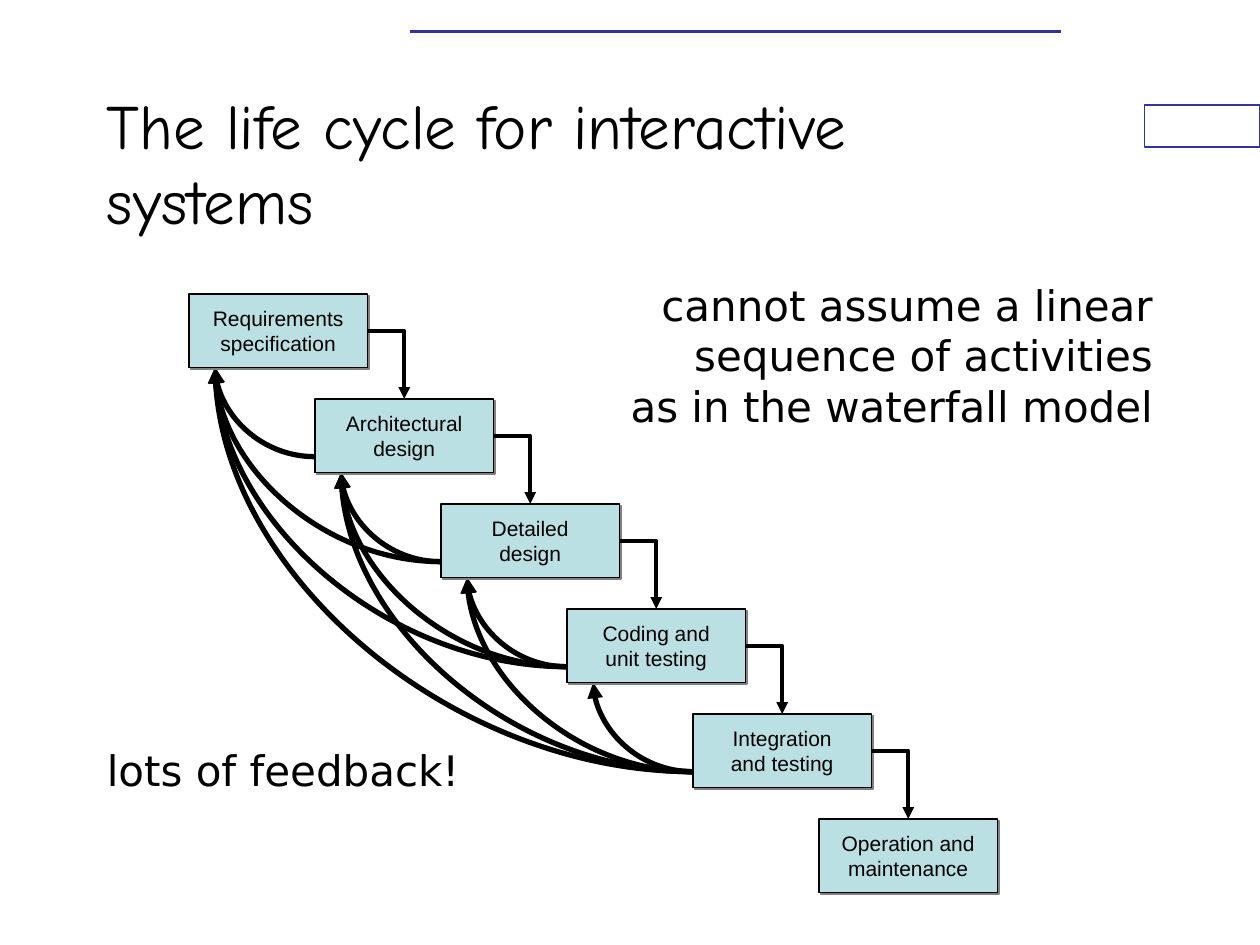
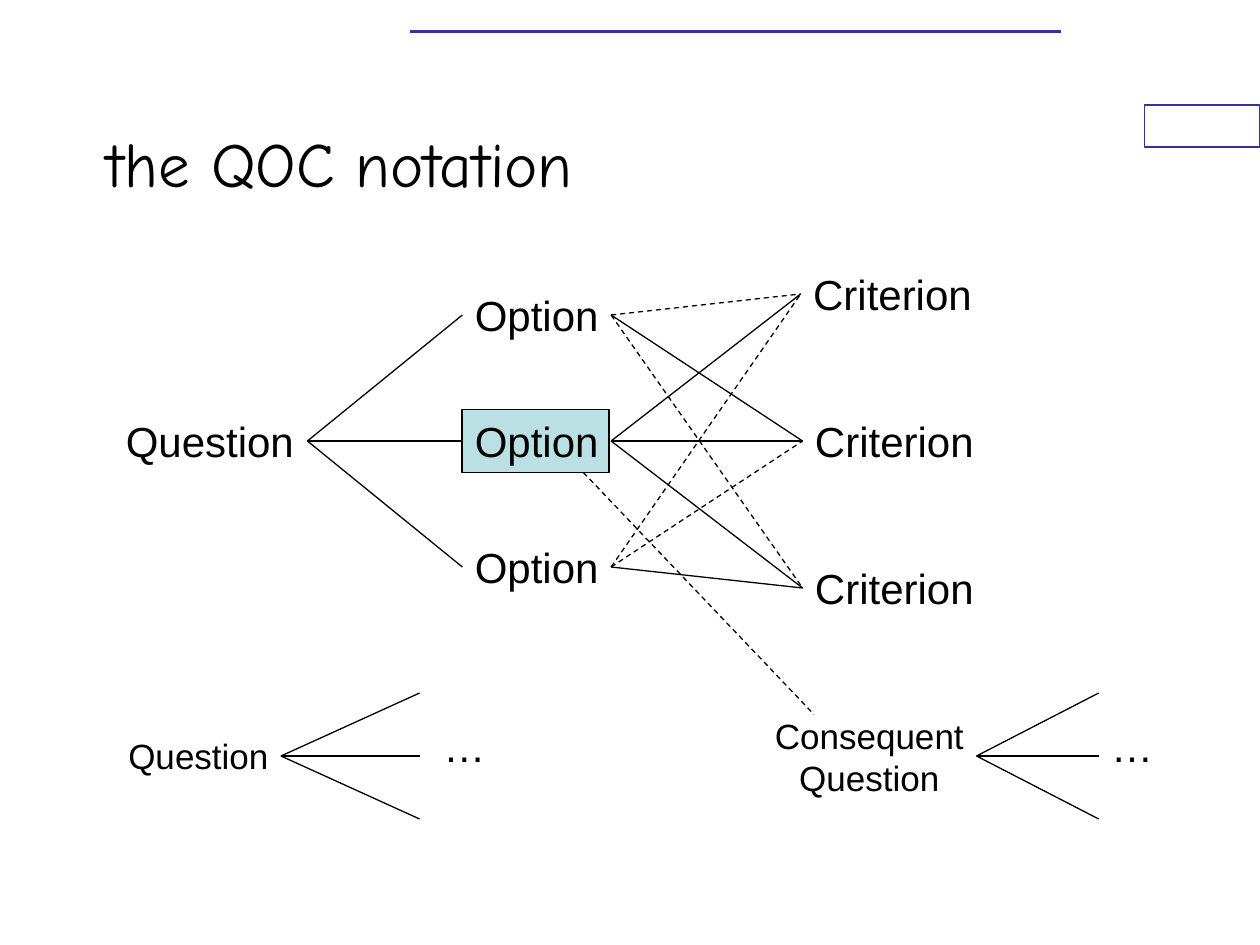
from itertools import combinations

from lxml.etree import SubElement
from pptx import Presentation
from pptx.dml.color import RGBColor
from pptx.enum.dml import MSO_LINE
from pptx.enum.shapes import MSO_CONNECTOR as LINK, MSO_SHAPE
from pptx.enum.text import MSO_ANCHOR as ANCHOR, PP_ALIGN as ALIGN
from pptx.oxml.ns import qn
from pptx.util import Inches, Pt

BLACK = RGBColor(0x00, 0x00, 0x00)
WHITE = RGBColor(0xFF, 0xFF, 0xFF)
NAVY = RGBColor(0x33, 0x33, 0x99)
PALE_TEAL = RGBColor(0xBB, 0xE0, 0xE3)
SHADOW_GREY = "808080"

TITLE_FONT, BODY_FONT, LABEL_FONT = "Comic Neue", "DejaVu Sans", "Arial"

LIFE_CYCLE_TITLE = "The life cycle for interactive systems"
ACTIVITIES = [
    ["Requirements", "specification"],
    ["Architectural", "design"],
    ["Detailed", "design"],
    ["Coding and", "unit testing"],
    ["Integration", "and testing"],
    ["Operation and", "maintenance"],
]
CLAIM = ["cannot assume a linear", "sequence of activities", "as in the waterfall model"]
REMARK = ["lots of feedback!"]

QOC_TITLE = "the QOC notation"
QUESTION, OPTION, CRITERION = "Question", "Option", "Criterion"
CONSEQUENT = ["Consequent", "Question"]
MORE = "…"
OPTION_ROWS = [2.5, 3.5, 4.5]
CRITERION_SPOTS = [(6.355, 28 / 12), (6.37, 3.5), (6.37, 56 / 12)]
CHOSEN_OPTION = 1
SUPPORTS = [
    [False, True, False],
    [True, True, True],
    [False, False, True],
]

ROW = 10 / 12
BOX_W, BOX_H = 17 / 12, 7 / 12
DOCK_W, DOCK_H = 5 / 12, 3 / 12
TOP, LEFT, BOTTOM, RIGHT = range(4)


def inches(*lengths):
    return [Inches(length) for length in lengths]


def write(shape, lines, size, font=LABEL_FONT, align=ALIGN.LEFT,
          anchor=ANCHOR.TOP, wrap=False):
    frame = shape.text_frame
    frame.word_wrap = wrap
    frame.vertical_anchor = anchor
    paragraph = frame.paragraphs[0]
    paragraph.alignment = align
    for number, line in enumerate(lines):
        if number:
            paragraph.add_line_break()
        run = paragraph.add_run()
        run.text = line
        run.font.size = Pt(size)
        run.font.name = font
        run.font.color.rgb = BLACK


def add_text(slide, place, lines, size, **style):
    write(slide.shapes.add_textbox(*inches(*place)), lines, size, **style)


def add_box(slide, place, fill=PALE_TEAL, line=BLACK):
    box = slide.shapes.add_shape(MSO_SHAPE.RECTANGLE, *inches(*place))
    box.shadow.inherit = False
    box.fill.solid()
    box.fill.fore_color.rgb = fill
    box.line.color.rgb = line
    box.line.width = Pt(0.75)
    return box


def add_line(slide, start, end, color=BLACK, width=0.75, dashed=False,
             kind=LINK.STRAIGHT):
    line = slide.shapes.add_connector(kind, *inches(*start, *end))
    line.line.color.rgb = color
    line.line.width = Pt(width)
    if dashed:
        line.line.dash_style = MSO_LINE.DASH
    SubElement(line._element.spPr, qn("a:effectLst"))
    return line


def add_arrow(slide, source, source_side, target, target_side, kind, preset, width):
    arrow = add_line(slide, (0, 0), (1, 1), width=width, kind=kind)
    arrow.begin_connect(source, source_side)
    arrow.end_connect(target, target_side)
    arrow._element.spPr.find(qn("a:prstGeom")).set("prst", preset)
    SubElement(arrow.line._get_or_add_ln(), qn("a:tailEnd"), type="triangle")


def cast_shadow(box):
    effects = box._element.spPr.find(qn("a:effectLst"))
    shadow = SubElement(effects, qn("a:outerShdw"), dist=str(Pt(1.4)),
                        dir="2700000", algn="ctr", rotWithShape="0")
    SubElement(shadow, qn("a:srgbClr"), val=SHADOW_GREY)


def add_slide(deck, title):
    slide = deck.slides.add_slide(deck.slide_layouts[6])
    add_box(slide, (109 / 12, 10 / 12, 11 / 12, 4 / 12), WHITE, NAVY)
    add_line(slide, (3.25, 0.25), (8.42, 0.25), NAVY, 1.25)
    add_text(slide, (0.75, 0.66, 7.5, 1.25), [title], 36, font=TITLE_FONT,
             anchor=ANCHOR.MIDDLE, wrap=True)
    return slide


def add_life_cycle(deck):
    slide = add_slide(deck, LIFE_CYCLE_TITLE)
    add_text(slide, (0.75, 2.17, 8.5, 1.3), CLAIM, 24, font=BODY_FONT,
             align=ALIGN.RIGHT, wrap=True)
    add_text(slide, (0.75, 5.86, 4, 0.5), REMARK, 24, font=BODY_FONT, wrap=True)

    corners = [(1.5 + step, 28 / 12 + step * ROW) for step in range(len(ACTIVITIES))]
    docks = [add_box(slide, (x, y + BOX_H - DOCK_H, DOCK_W, DOCK_H))
             for x, y in corners[:-1]]
    for earlier, later in combinations(docks, 2):
        add_arrow(slide, later, LEFT, earlier, BOTTOM,
                  LINK.CURVE, "curvedConnector2", 3)

    boxes = []
    for (x, y), activity in zip(corners, ACTIVITIES):
        box = add_box(slide, (x, y, BOX_W, BOX_H))
        cast_shadow(box)
        write(box, activity, 12, align=ALIGN.CENTER, anchor=ANCHOR.MIDDLE)
        boxes.append(box)
    for before, after in zip(boxes, boxes[1:]):
        add_arrow(slide, before, RIGHT, after, TOP,
                  LINK.ELBOW, "bentConnector2", 2.25)


def add_fan(slide, x, y, end_x, spread):
    for offset in (-spread, 0, spread):
        add_line(slide, (x, y), (end_x, y + offset))


def add_qoc(deck):
    slide = add_slide(deck, QOC_TITLE)
    add_box(slide, (44 / 12, OPTION_ROWS[CHOSEN_OPTION] - 0.25, 14 / 12, 0.5))
    add_text(slide, (0.9, 3.25, 1.6, 0.5), [QUESTION], 24)
    for y in OPTION_ROWS:
        add_text(slide, (3.67, y - 0.25, 1.18, 0.5), [OPTION], 24)
    for x, y in CRITERION_SPOTS:
        add_text(slide, (x, y - 0.25, 1.5, 0.5), [CRITERION], 24)

    add_fan(slide, 2.44, 3.5, 3.67, 1)
    for option_y, row in zip(OPTION_ROWS, SUPPORTS):
        for criterion, supported in zip(CRITERION_SPOTS, row):
            add_line(slide, (4.85, option_y), criterion, dashed=not supported)

    add_text(slide, (0.92, 5.78, 1.4, 0.44), [QUESTION], 20)
    add_text(slide, (6.05, 5.62, 1.7, 0.77), CONSEQUENT, 20, align=ALIGN.CENTER)
    for start_x, end_x, more_x in [(2.23, 3.33, 3.42), (7.75, 8.72, 8.72)]:
        add_fan(slide, start_x, 6, end_x, 0.5)
        add_text(slide, (more_x, 5.67, 0.53, 0.5), [MORE], 24)
    add_line(slide, (4.63, 3.75), (6.46, 5.67), dashed=True)


def main():
    deck = Presentation()
    deck.slide_width, deck.slide_height = inches(10, 7.5)
    add_life_cycle(deck)
    add_qoc(deck)
    deck.save("out.pptx")


if __name__ == "__main__":
    main()
